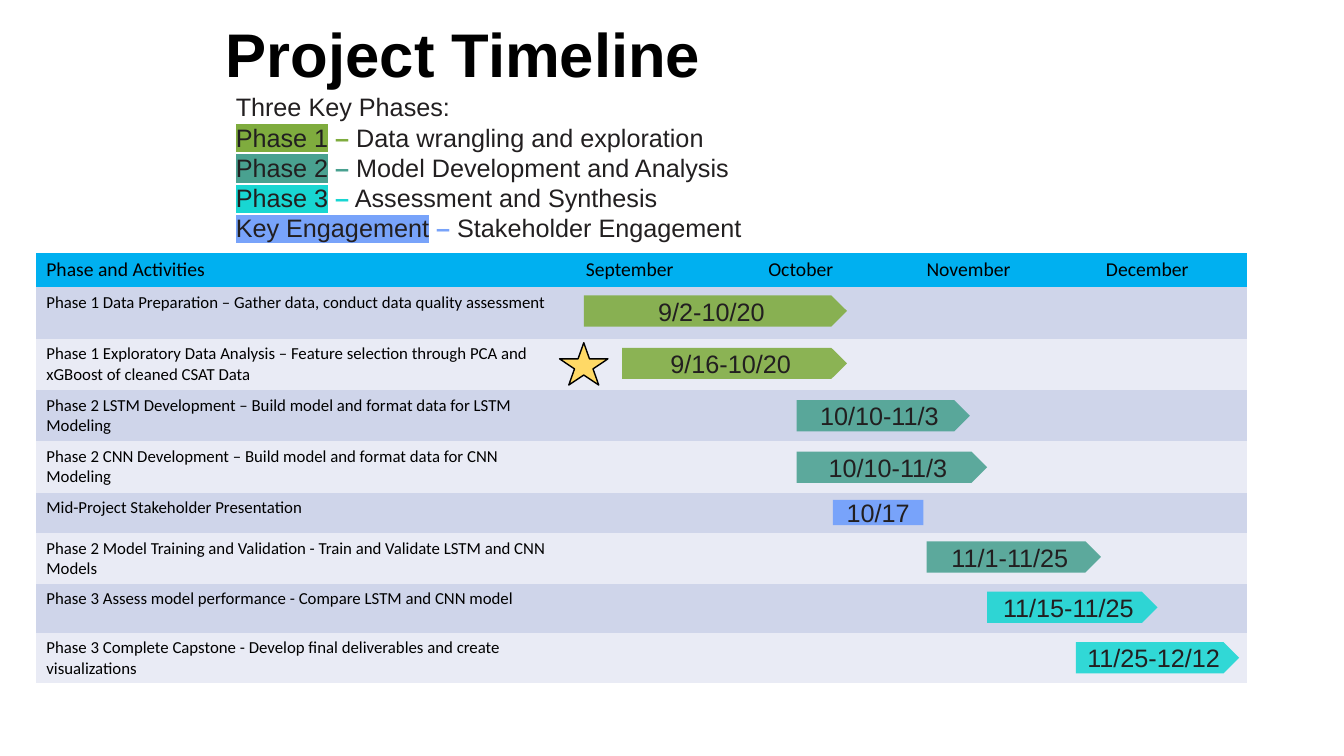
from pptx import Presentation
from pptx.dml.color import RGBColor
from pptx.enum.shapes import MSO_SHAPE as SHAPE
from pptx.enum.text import MSO_ANCHOR as ANCHOR, MSO_AUTO_SIZE as AUTO, PP_ALIGN as ALIGN
from pptx.oxml.ns import qn
from pptx.util import Pt
from lxml.etree import SubElement

PX = 9144
THEME = {
    "black": "000000", "ink": "221F20", "header": "00B0F0",
    "bands": ("CFD5EA", "E9EBF5"), "star": "FFD966",
    "Phase 1": "7FAC3E", "Phase 2": "49A190", "Phase 3": "18D6D2",
    "Key Engagement": "78A3FA",
    "display": "Arial", "table": "Calibri",
    "title_size": 44, "text_size": 18, "header_size": 14, "cell_size": 12,
}
rgb = RGBColor.from_string


def box(*lengths):
    return [n * PX for n in lengths]


def style(font, name, size, color):
    font.name, font.size = THEME[name], Pt(THEME[size])
    font.color.rgb = rgb(THEME[color])


prs = Presentation()
prs.slide_width, prs.slide_height = box(1333, 750)
s = prs.slides.add_slide(prs.slide_layouts[5])

title = s.shapes.title
title.left, title.top, title.width, title.height = box(214, 19, 1105, 143)
tf = title.text_frame
tf.text = "Project Timeline"
tf.auto_size, tf.vertical_anchor = AUTO.NONE, ANCHOR.TOP
p = tf.paragraphs[0]
p.alignment, p.line_spacing = ALIGN.LEFT, 0.9
style(p.font, "display", "title_size", "black")
p.font.bold = True

legend = [
    ("Phase 1", "Data wrangling and exploration"),
    ("Phase 2", "Model Development and Analysis"),
    ("Phase 3", "Assessment and Synthesis"),
    ("Key Engagement", "Stakeholder Engagement"),
]
tf = s.shapes.add_textbox(*box(224, 86, 793, 162)).text_frame
tf.word_wrap, tf.auto_size = True, AUTO.SHAPE_TO_FIT_TEXT
tf.text = "Three Key Phases:"
for phase, meaning in legend:
    p = tf.add_paragraph()
    name, gap, dash, rest = [p.add_run() for _ in range(4)]
    name.text, gap.text, dash.text, rest.text = phase, " ", "–", f" {meaning}"
    mark = SubElement(name.font._element, qn("a:highlight"))
    SubElement(mark, qn("a:srgbClr")).set("val", THEME[phase])
    dash.font.bold = True
    dash.font.color.rgb = rgb(THEME[phase])
for p in tf.paragraphs:
    style(p.font, "display", "text_size", "ink")

headings = ["Phase and Activities", "September", "October", "November", "December"]
widths = [535, 181, 157, 178, 150]
header_height = 34
activities = [
    ("Phase 1 Data Preparation – Gather data, conduct data quality assessment",
     51, "Phase 1", "9/2-10/20", (579, 293, 261, 31)),
    ("Phase 1 Exploratory Data Analysis – Feature selection through PCA and xGBoost of cleaned CSAT Data",
     51, "Phase 1", "9/16-10/20", (617, 345, 223, 31)),
    ("Phase 2 LSTM Development – Build model and format data for LSTM Modeling",
     51, "Phase 2", "10/10-11/3", (790, 397, 172, 31)),
    ("Phase 2 CNN Development – Build model and format data for CNN Modeling",
     51, "Phase 2", "10/10-11/3", (790, 448, 189, 31)),
    ("Mid-Project Stakeholder Presentation",
     40, "Key Engagement", "10/17", (826, 496, 90, 25)),
    ("Phase 2 Model Training and Validation - Train and Validate LSTM and CNN Models",
     50, "Phase 2", "11/1-11/25", (919, 537, 173, 31)),
    ("Phase 3 Assess model performance - Compare LSTM and CNN model",
     49, "Phase 3", "11/15-11/25", (979, 587, 169, 31)),
    ("Phase 3 Complete Capstone - Develop final deliverables and create visualizations",
     49, "Phase 3", "11/25-12/12", (1067, 637, 162, 31)),
]
height = header_height + sum(a[1] for a in activities)
table = s.shapes.add_table(len(activities) + 1, len(headings),
                           *box(36, 251, sum(widths), height)).table
table.first_row = table.horz_banding = False
table._tbl.tblPr.find(qn("a:tableStyleId")).text = "{2D5ABB26-0587-4C30-8999-92F81FD0307C}"
table.rows[0].height = header_height * PX
for i, (heading, width) in enumerate(zip(headings, widths)):
    table.columns[i].width = width * PX
    cell = table.cell(0, i)
    cell.text = heading
    cell.fill.solid()
    cell.fill.fore_color.rgb = rgb(THEME["header"])
    style(cell.text_frame.paragraphs[0].font, "table", "header_size", "black")

for i, (activity, row_height, phase, dates, place) in enumerate(activities):
    row = table.rows[i + 1]
    row.height = row_height * PX
    for cell in row.cells:
        cell.fill.solid()
        cell.fill.fore_color.rgb = rgb(THEME["bands"][i % 2])
    row.cells[0].text = activity
    style(row.cells[0].text_frame.paragraphs[0].font, "table", "cell_size", "black")

    milestone = phase == "Key Engagement"
    bar = s.shapes.add_shape(SHAPE.RECTANGLE if milestone else SHAPE.PENTAGON, *box(*place))
    bar.shadow.inherit = False
    bar.fill.solid()
    bar.fill.fore_color.rgb = rgb(THEME[phase])
    bar.line.fill.background()
    if not milestone:
        color = bar._element.spPr.find(f"{qn('a:solidFill')}/{qn('a:srgbClr')}")
        SubElement(color, qn("a:alpha")).set("val", "88000")
    tf = bar.text_frame
    tf.text = dates
    tf.vertical_anchor = ANCHOR.MIDDLE
    p = tf.paragraphs[0]
    p.alignment = ALIGN.CENTER
    style(p.font, "display", "text_size", "ink")

star = s.shapes.add_shape(SHAPE.STAR_5_POINT, *box(555, 340, 48, 42))
star.shadow.inherit = False
star.fill.solid()
star.fill.fore_color.rgb = rgb(THEME["star"])
star.line.color.rgb = rgb(THEME["black"])
star.line.width = Pt(1)

prs.save("out.pptx")
